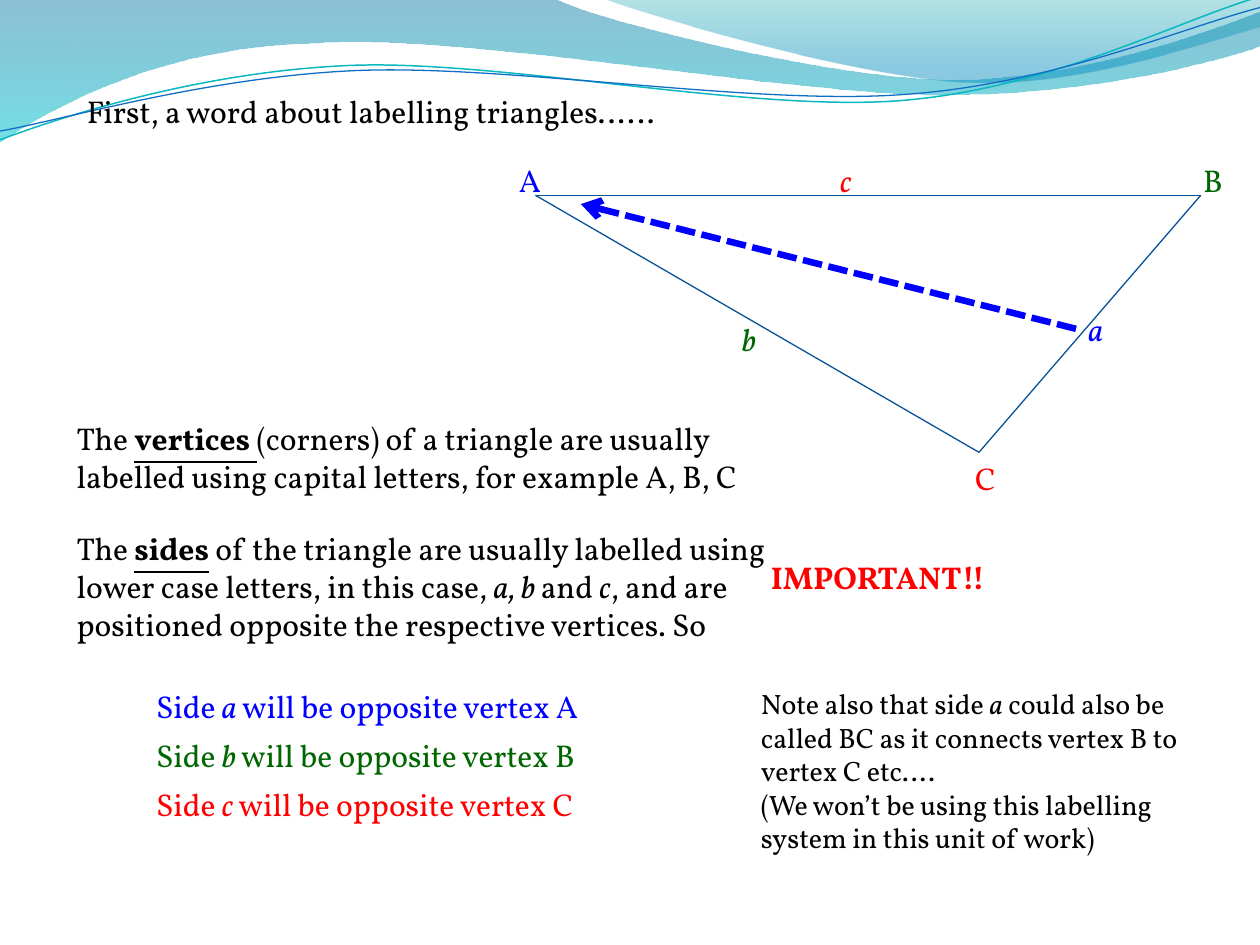
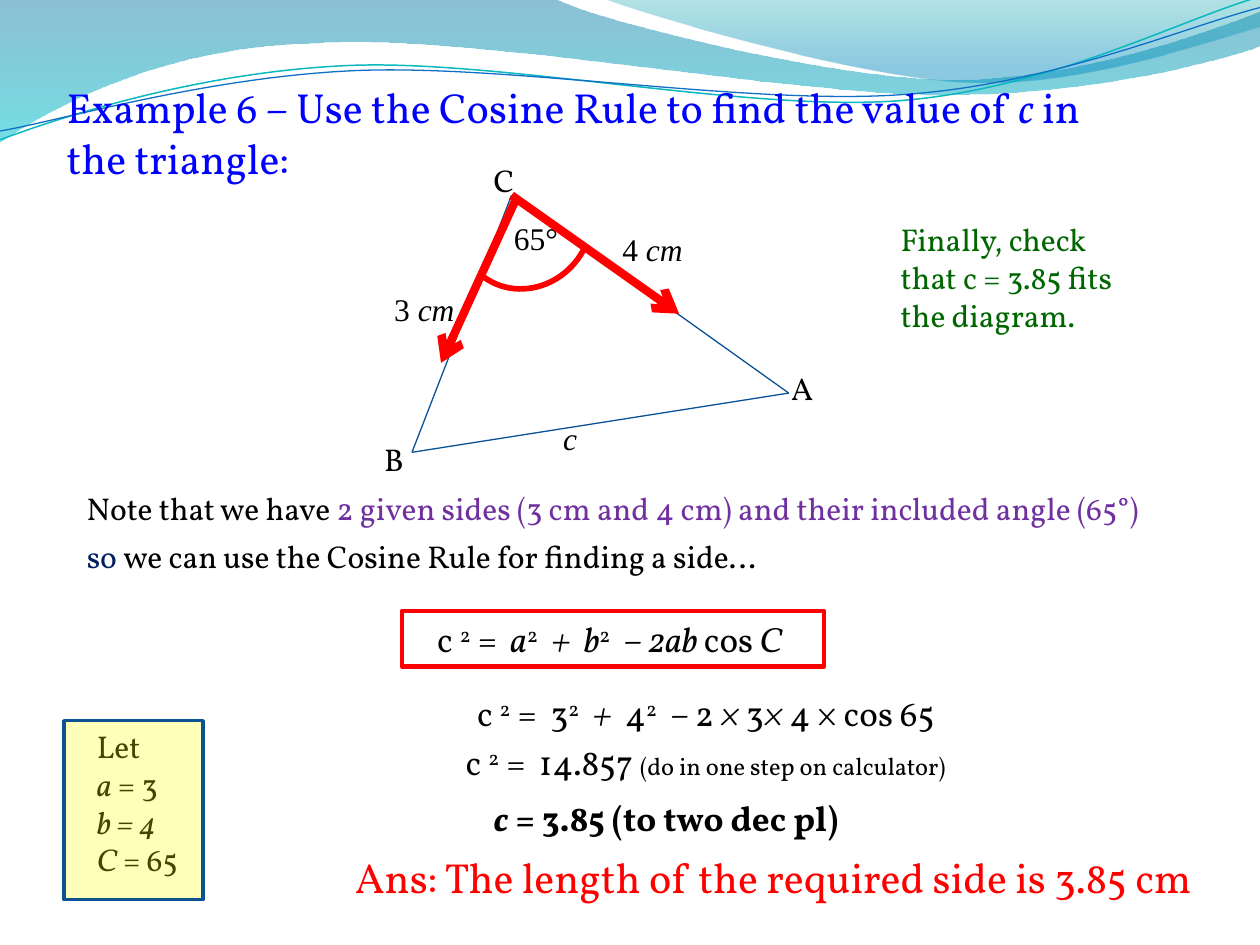
"""Build two lesson slides on labelling triangles and the cosine rule."""
from collections import namedtuple
from dataclasses import dataclass
from math import cos, radians, sin

from lxml.etree import SubElement
from pptx import Presentation
from pptx.dml.color import RGBColor
from pptx.enum.dml import MSO_LINE
from pptx.enum.shapes import MSO_CONNECTOR, MSO_SHAPE
from pptx.enum.text import MSO_AUTO_SIZE as AutoSize, PP_ALIGN as Align
from pptx.oxml.ns import qn
from pptx.util import Inches, Pt


@dataclass(frozen=True)
class Theme:
    """Colours, fonts and type sizes that the slides share."""
    font: str = "Vollkorn"
    math_font: str = "Times New Roman"
    black: str = "000000"
    blue: str = "0000FF"
    green: str = "006600"
    red: str = "FF0000"
    purple: str = "7030A0"
    navy: str = "002060"
    edge: str = "095295"
    panel_edge: str = "0B5292"
    yellow: str = "FFFF00"
    note: int = 16
    body: int = 18
    formula: int = 20
    heading: int = 24
    aside: int = 14
    gap: float = 3.6


THEME = Theme()
COLUMNS, ROWS = 100, 75
CELL = Inches(10) / COLUMNS
STRAND_TILT = -2.7
Run = namedtuple("Run", "text flags color size", defaults=("", None, None))
SQUARED = Run("2", "^")
GAP = Run(" ", "w")

BROAD_WAVE = [(0, 0), (44, -0.1), (47.6, 1.7, 66.4, 6.3, 75.8, 6.3),
              (85.3, 6.3, 95.8, 2.6, 100, 0.9), (100.1, 3.6),
              (98.3, 4.4, 87, 7.6, 74.6, 7.5), (62.2, 7.5, 38.2, 2.8, 25.7, 3.4),
              (12.9, 3.6, 4.6, 8.3, -0.1, 11.3), (0, 0)]
RIGHT_WAVE = [(47.9, -0.1), (50.9, 1.1, 68.2, 6.2, 76.9, 6.5),
              (85.6, 6.9, 96.1, 3.2, 100, 2.1), (100, 0), (47.9, -0.1)]
TEAL_STRAND = [(0, 11.1), (4.8, 9.3, 15.8, 5.7, 27.7, 5.2),
               (39.5, 4.7, 59.3, 8.9, 71.3, 8), (83.3, 7.1, 93.8, 1.5, 99.8, -0.2)]
BLUE_STRAND = [(0, 10.4), (4.7, 9.6, 16.4, 6.1, 28.3, 5.6),
               (40.3, 5.1, 59.7, 8.4, 71.7, 7.5), (83.6, 6.7, 94.1, 2.1, 100, 0.6)]


def cells(*counts):
    """Turn counts of grid cells into lengths."""
    return [round(count * CELL) for count in counts]


def rgb(color):
    """Turn a hex colour into a colour object."""
    return RGBColor.from_string(color)


def pairs_of(numbers):
    """Split a flat sequence into x and y pairs."""
    return list(zip(numbers[::2], numbers[1::2]))


def turned(outline, center, degrees):
    """Turn the points of an outline about a centre."""
    c, s = cos(radians(degrees)), sin(radians(degrees))
    return [tuple(value for x, y in pairs_of(segment)
                  for value in (center[0] + (x - center[0]) * c - (y - center[1]) * s,
                                center[1] + (x - center[0]) * s + (y - center[1]) * c))
            for segment in outline]


def add_outline(canvas, outline):
    """Draw an unfilled outline of straight and cubic segments and return it."""
    start, *rest = [cells(*segment[-2:]) for segment in outline]
    builder = canvas.shapes.build_freeform(*start)
    builder.add_line_segments(rest, close=outline[0] == outline[-1])
    shape = builder.convert_to_shape()
    for straight, segment in zip(list(shape._element.iter(qn("a:lnTo"))), outline[1:]):
        if len(segment) == 6:
            straight.tag = qn("a:cubicBezTo")
            straight.remove(straight[0])
            for x, y in pairs_of(cells(*segment)):
                SubElement(straight, qn("a:pt"), x=str(x - shape.left), y=str(y - shape.top))
    shape.shadow.inherit = False
    shape.fill.background()
    shape.line.fill.background()
    return shape


def set_alpha(color_element, percent):
    """Make a colour partly transparent."""
    SubElement(color_element, qn("a:alpha")).set("val", str(percent * 1000))


def add_wave(slide, outline, stops):
    """Draw a wave that fades downwards through translucent colours."""
    properties = add_outline(slide, outline)._element.spPr
    empty = properties.find(qn("a:noFill"))
    gradient = SubElement(properties, qn("a:gradFill"))
    properties.replace(empty, gradient)
    stop_list = SubElement(gradient, qn("a:gsLst"))
    for position, color, opacity in stops:
        stop = SubElement(stop_list, qn("a:gs"), pos=str(position * 1000))
        set_alpha(SubElement(stop, qn("a:srgbClr"), val=color), opacity)
    SubElement(gradient, qn("a:lin"), ang="5400000", scaled="0")


def set_line(item, color, width):
    """Colour and size the line of a shape or connector."""
    item.line.color.rgb = rgb(color)
    item.line.width = Pt(width)


def add_header(slide):
    """Draw the wave band shared by all slides."""
    add_wave(slide, BROAD_WAVE, [(0, "0074A1", 45), (100, "00C6CF", 55)])
    add_wave(slide, RIGHT_WAVE, [(0, "00A1A9", 30), (80, "008BBF", 45)])
    strands = slide.shapes.add_group_shape()
    for outline, center, color, width in [(TEAL_STRAND, (49.9, 5.75), "0AB8BF", 0.85),
                                          (BLUE_STRAND, (49.95, 5.9), "0F6FC6", 0.75)]:
        strand = add_outline(strands, turned(outline, center, -STRAND_TILT))
        strand.rotation = STRAND_TILT
        set_line(strand, color, width)


def add_segment(canvas, start, end, color=THEME.edge, width=0.75, dash=None, arrow=False):
    """Draw a straight line, with an arrowhead at its end if asked."""
    segment = canvas.shapes.add_connector(MSO_CONNECTOR.STRAIGHT, *cells(*start, *end))
    set_line(segment, color, width)
    if dash:
        segment.line.dash_style = dash
    if arrow:
        SubElement(segment.line._get_or_add_ln(), qn("a:tailEnd"), type="arrow")
    SubElement(segment._element.spPr, qn("a:effectLst"))


def add_triangle(slide, *corners):
    """Join three corners with grouped lines and return the group."""
    triangle = slide.shapes.add_group_shape()
    for start, end in zip(corners, corners[1:] + corners[:1]):
        add_segment(triangle, start, end)
    return triangle


def write(frame, paragraphs, color, size, font, align):
    """Fill a text frame with paragraphs of runs."""
    frame.word_wrap = True
    frame.auto_size = AutoSize.SHAPE_TO_FIT_TEXT
    for index, runs in enumerate(paragraphs):
        paragraph = frame.add_paragraph() if index else frame.paragraphs[0]
        paragraph.alignment = align
        for text, flags, own_color, own_size in runs:
            run = paragraph.add_run()
            run.text = text
            run.font.name = font
            run.font.size = Pt(own_size or size)
            run.font.color.rgb = rgb(own_color or color)
            run.font.bold = "b" in flags
            run.font.italic = "i" in flags
            run.font.underline = "u" in flags
            if "^" in flags:
                run._r.get_or_add_rPr().set("baseline", "30000")
            if "w" in flags:
                run._r.get_or_add_rPr().set("spc", str(round(THEME.gap * 100)))


def add_text(canvas, box, *paragraphs, color=THEME.black, size=THEME.body,
             font=THEME.font, align=Align.LEFT):
    """Place a text box on the grid."""
    frame = canvas.shapes.add_textbox(*cells(*box)).text_frame
    write(frame, paragraphs, color, size, font, align)


def add_figure(slide, kind, box, color, width):
    """Draw an unfilled preset shape and return it."""
    figure = slide.shapes.add_shape(kind, *cells(*box))
    figure.shadow.inherit = False
    figure.fill.background()
    set_line(figure, color, width)
    return figure


def build_labelling(slide):
    """Explain how vertices and sides are labelled."""
    add_header(slide)
    add_triangle(slide, (42.5, 15.5), (95.3, 15.5), (77.7, 35.9))
    add_text(slide, (5.9, 6.8, 66.9, 4), [Run("First, a word about labelling triangles……")])
    add_text(slide, (5.1, 32.8, 59.8, 7.1), [
        Run("The "), Run("vertices ", "bu"),
        Run("(corners) of a triangle are usually labelled using capital letters, "
            "for example A, B, C")])
    add_text(slide, (5.1, 41.5, 59.8, 10.1), [
        Run("The "), Run("sides", "bu"),
        Run(" of the triangle are usually labelled using lower case letters, in this case, "),
        Run("a, b ", "i"), Run("and "), Run("c", "i"),
        Run(", and are positioned opposite the respective vertices. So")])
    opposites = [("a", THEME.blue, (40.2, 12.3), (85.4, 24.1, 7.9)),
                 ("b", THEME.green, (94.5, 12.3), (57.9, 24.9, 9.4)),
                 ("c", THEME.red, (76.4, 35.9), (65.7, 12.3, 10.2))]
    for row, (side, color, vertex_at, side_at) in enumerate(opposites):
        vertex = side.upper()
        add_text(slide, (*vertex_at, 5.5, 4), [Run(vertex)], color=color)
        add_text(slide, (*side_at, 4), [Run(side, "i")], color=color)
        add_text(slide, (11.4, 54 + 3.9 * row, 46.5, 4), [
            Run("Side "), Run(side, "i"), Run(f" will be opposite vertex {vertex}")],
            color=color)
    add_text(slide, (60.2, 43.8, 28.3, 4), [Run("IMPORTANT!!", "b")], color=THEME.red)
    add_text(slide, (59.4, 54, 36.2, 14.5), [
        Run("Note also that side "), Run("a", "i"),
        Run(" could also be called BC as it connects vertex B to vertex C etc….")],
        [Run("(We won’t be using this labelling system in this unit of work)")],
        size=THEME.note)
    add_segment(slide, (85.4, 26.1), (46.1, 16.2), THEME.blue, 3.75,
                MSO_LINE.SQUARE_DOT, arrow=True)


def add_given_triangle(slide):
    """Draw the triangle with its two given sides and included angle."""
    triangle = add_triangle(slide, (40.6, 15.5), (32.7, 35.9), (62.6, 31.2))
    for left, top, vertex in [(38.2, 12.3, "C"), (61.8, 28.8, "A"), (29.5, 34.4, "B")]:
        add_text(triangle, (left, top, 7.1, 4), [Run(vertex)])
    for left, top, *measure in [(39.8, 16.9, Run("65°")), (43.7, 32.8, Run("c", "i")),
                                (48.4, 17.8, Run("4 "), Run("cm", "i")),
                                (30.3, 22.5, Run("3 "), Run("cm", "i"))]:
        add_text(triangle, (left, top, 7.9, 4), measure, font=THEME.math_font)


def add_working(slide):
    """Set out the rule and the steps of the calculation."""
    rule = add_figure(slide, MSO_SHAPE.RECTANGLE, (31.9, 48.5, 33.5, 4.4), THEME.red, 2.75)
    write(rule.text_frame, [[
        Run("c "), SQUARED, Run(" ="), GAP, Run("a", "i"), SQUARED, GAP, Run("+", "i"), GAP,
        Run("b", "i"), SQUARED, GAP, Run("– 2ab ", "i"), Run("cos"), Run(" C", "i"), GAP]],
        THEME.black, THEME.formula, THEME.font, Align.CENTER)
    steps = [
        [Run("c "), SQUARED, Run(" ="), GAP, Run("3"), SQUARED, GAP, Run("+", "i"), GAP,
         Run("4"), SQUARED, GAP, Run("– ", "i"), Run("2"), Run(" × ", "i"), Run("3"),
         Run("× ", "i"), Run("4 × cos 65"), GAP],
        [Run("c "), SQUARED, Run(" ="), GAP, Run("14.857 "),
         Run("(do in one step on calculator)", size=THEME.aside), GAP]]
    for row, step in enumerate(steps):
        add_text(slide, (31.9, 54.4 + 3.9 * row, 48.8, 4.4), step,
                 size=THEME.formula, align=Align.CENTER)
    add_text(slide, (38.2, 62.7, 46.5, 4.4),
             [Run("c", "bi"), Run(" = 3.85 (to two dec pl)", "b")], size=THEME.formula)


def add_values(slide):
    """List the given values under a translucent panel."""
    add_text(slide, (6.7, 57.2, 26, 13.1), [Run("Let")], [Run("a", "i"), Run(" = 3")],
             [Run("b = 4", "i")], [Run("C", "i"), Run(" = 65")])
    panel = add_figure(slide, MSO_SHAPE.RECTANGLE, (5.1, 57.2, 11, 14.2),
                       THEME.panel_edge, 2)
    panel.fill.solid()
    panel.fill.fore_color.rgb = rgb(THEME.yellow)
    set_alpha(panel._element.spPr.find(f"{qn('a:solidFill')}/{qn('a:srgbClr')}"), 27)


def build_example(slide):
    """Work through an example of the cosine rule."""
    add_header(slide)
    add_text(slide, (4.3, 6, 86.6, 9.1), [
        Run("Example 6 – Use the Cosine Rule to find the value of "), Run("c", "i"),
        Run(" in the triangle:")], color=THEME.blue, size=THEME.heading)
    add_text(slide, (5.9, 38.3, 87.4, 4), [
        Run("Note that we have "),
        Run("2 given sides (3 cm and 4 cm) and their included angle (65°)",
            color=THEME.purple)])
    add_given_triangle(slide)
    add_working(slide)
    add_values(slide)
    add_text(slide, (27.2, 67.1, 70.9, 5),
             [Run("Ans: The length of the required side is 3.85 cm")],
             color=THEME.red, size=THEME.heading)
    add_text(slide, (70.5, 17, 20.5, 10.1),
             [Run("Finally, check that c = 3.85 fits the diagram.")], color=THEME.green)
    for start, end in [((40.6, 15.5), (53.9, 24.9)), ((41, 15.7), (35, 28.8))]:
        add_segment(slide, start, end, THEME.red, 4.75, arrow=True)
    angle = add_figure(slide, MSO_SHAPE.ARC, (36.2, 12.5, 11, 10.2), THEME.red, 3.25)
    angle.rotation = 130.5
    angle.adjustments[0], angle.adjustments[1] = 150.54, 214.55
    add_text(slide, (5.9, 42.1, 59.1, 4), [
        Run("so ", color=THEME.navy),
        Run("we can use the Cosine Rule for finding a side…")])


def main():
    """Build and save the deck."""
    deck = Presentation()
    deck.slide_width, deck.slide_height = cells(COLUMNS, ROWS)
    for build in (build_labelling, build_example):
        build(deck.slides.add_slide(deck.slide_layouts[6]))
    deck.save("out.pptx")


if __name__ == "__main__":
    main()
